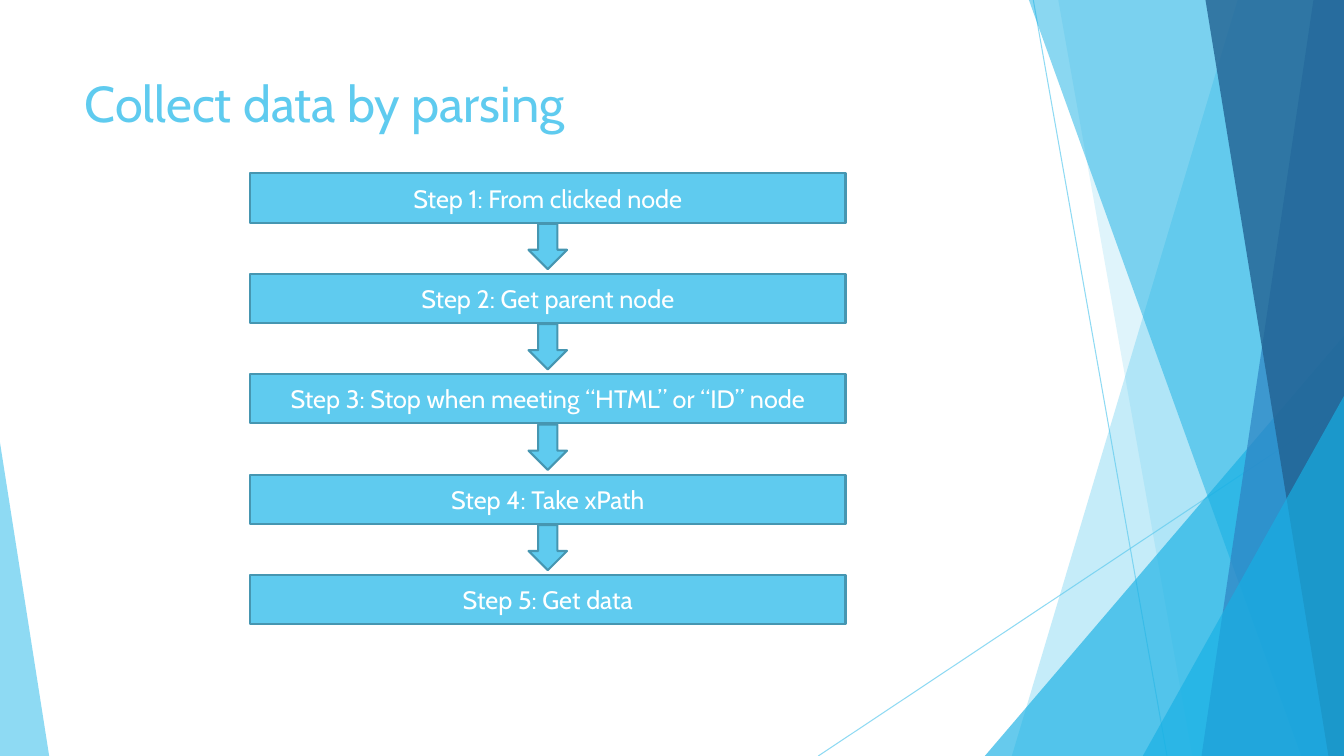
"""Build the slide that lists the steps of collecting data by parsing."""
from dataclasses import dataclass

from lxml import etree
from pptx import Presentation
from pptx.dml.color import RGBColor
from pptx.enum.shapes import MSO_CONNECTOR, MSO_SHAPE
from pptx.enum.text import MSO_ANCHOR, PP_ALIGN
from pptx.oxml.ns import qn
from pptx.shapes.autoshape import Shape
from pptx.shapes.connector import Connector
from pptx.shapes.shapetree import SlideShapes
from pptx.text.text import TextFrame
from pptx.util import Cm, Pt

RECTANGLE = MSO_SHAPE.RECTANGLE
DOWN_ARROW = MSO_SHAPE.DOWN_ARROW
TRIANGLE = MSO_SHAPE.ISOSCELES_TRIANGLE
STRAIGHT = MSO_CONNECTOR.STRAIGHT
LEFT, CENTER = PP_ALIGN.LEFT, PP_ALIGN.CENTER
TOP, MIDDLE = MSO_ANCHOR.TOP, MSO_ANCHOR.MIDDLE

FONT = "Cabin"
COLOURS = {
    "sky": "5FCBEF",
    "cyan": "17B0E4",
    "blue": "2E83C3",
    "navy": "226292",
    "outline": "4696B1",
    "white": "FFFFFF",
}
SLIDE_WIDTH, SLIDE_HEIGHT = 33.87, 19.05
STEP_LEFT, STEP_TOP, STEP_WIDTH, STEP_HEIGHT = 6.3, 4.37, 15.01, 1.24
STEP_PITCH = 2.53
ARROW_WIDTH, ARROW_HEIGHT, ARROW_OFFSET = 0.97, 1.14, 1.27


@dataclass
class Ray:
    """A thin line across the slide edge."""
    start: tuple[float, float]
    end: tuple[float, float]


@dataclass
class Band:
    """A slanted band that reaches the right edge."""
    top_x: float
    bottom_x: float
    colour: str
    opacity: int


@dataclass
class Corner:
    """A right triangle that stands on the bottom edge."""
    left: float
    top: float
    width: float
    apex: float
    colour: str
    opacity: int


RAYS = [
    Ray((26.04, 0), (29.41, SLIDE_HEIGHT)),
    Ray((SLIDE_WIDTH, 10.24), (20.62, SLIDE_HEIGHT)),
]
FACETS = [
    Band(31.19, 25.5, "sky", 36),
    Band(26.67, 30.05, "sky", 20),
    Corner(24.82, 8.46, 9.05, 1, "cyan", 66),
    Band(25.93, 32.79, "cyan", 50),
    Band(33.1, 30.28, "blue", 70),
    Band(30.38, 33.48, "navy", 80),
    Corner(28.8, 9.98, 5.07, 1, "cyan", 66),
    Corner(0, 11.15, 1.24, 0, "sky", 70),
]
STEPS = [
    "Step 1: From clicked node",
    "Step 2: Get parent node",
    "Step 3: Stop when meeting “HTML” or “ID” node",
    "Step 4: Take xPath",
    "Step 5: Get data",
]


def rgb(name: str) -> RGBColor:
    """Return the named colour."""
    return RGBColor.from_string(COLOURS[name])


def set_opacity(item: Shape | Connector, percent: int) -> None:
    """Make the item's colour partly transparent."""
    colour = item.element.spPr.find(".//" + qn("a:srgbClr"))
    etree.SubElement(colour, qn("a:alpha")).set("val", str(percent * 1000))


def write(frame: TextFrame, text: str, *, size: float, colour: str,
          align: PP_ALIGN, anchor: MSO_ANCHOR) -> None:
    """Put formatted text into a frame."""
    frame.word_wrap = True
    frame.vertical_anchor = anchor
    paragraph = frame.paragraphs[0]
    paragraph.alignment = align
    run = paragraph.add_run()
    run.text = text
    run.font.name = FONT
    run.font.size = Pt(size)
    run.font.color.rgb = rgb(colour)


def fill_shape(shape: Shape, colour: str) -> None:
    """Give a shape a flat fill without a shadow."""
    shape.shadow.inherit = False
    shape.fill.solid()
    shape.fill.fore_color.rgb = rgb(colour)


def draw_ray(shapes: SlideShapes, ray: Ray) -> None:
    """Draw a thin translucent line."""
    line = shapes.add_connector(STRAIGHT, *map(Cm, ray.start + ray.end))
    line.line.color.rgb = rgb("sky")
    line.line.width = Pt(0.75)
    set_opacity(line, 70)
    etree.SubElement(line.element.spPr, qn("a:effectLst"))


def draw_facet(shapes: SlideShapes, facet: Band | Corner) -> None:
    """Draw a translucent band or corner."""
    if isinstance(facet, Band):
        outline = shapes.build_freeform(Cm(facet.top_x), 0)
        outline.add_line_segments([
            (Cm(SLIDE_WIDTH), 0),
            (Cm(SLIDE_WIDTH), Cm(SLIDE_HEIGHT)),
            (Cm(facet.bottom_x), Cm(SLIDE_HEIGHT)),
        ])
        shape = outline.convert_to_shape()
    else:
        shape = shapes.add_shape(TRIANGLE, Cm(facet.left), Cm(facet.top),
                                 Cm(facet.width), Cm(SLIDE_HEIGHT - facet.top))
        shape.adjustments[0] = facet.apex
    fill_shape(shape, facet.colour)
    set_opacity(shape, facet.opacity)
    shape.line.fill.background()


def draw_block(shapes: SlideShapes, kind: MSO_SHAPE, left: float, top: float,
               width: float, height: float) -> Shape:
    """Draw an outlined shape of the flow."""
    block = shapes.add_shape(kind, Cm(left), Cm(top), Cm(width), Cm(height))
    fill_shape(block, "sky")
    block.line.color.rgb = rgb("outline")
    block.line.width = Pt(1.5)
    return block


def draw_flow(shapes: SlideShapes) -> None:
    """Draw the steps with an arrow between each pair."""
    arrow_left = STEP_LEFT + (STEP_WIDTH - ARROW_WIDTH) / 2
    for index, label in enumerate(STEPS):
        top = STEP_TOP + index * STEP_PITCH
        step = draw_block(shapes, RECTANGLE, STEP_LEFT, top, STEP_WIDTH, STEP_HEIGHT)
        write(step.text_frame, label, size=18, colour="white",
              align=CENTER, anchor=MIDDLE)
        if index < len(STEPS) - 1:
            draw_block(shapes, DOWN_ARROW, arrow_left, top + ARROW_OFFSET,
                       ARROW_WIDTH, ARROW_HEIGHT)


def main() -> None:
    """Build and save the presentation."""
    deck = Presentation()
    deck.slide_width, deck.slide_height = Cm(SLIDE_WIDTH), Cm(SLIDE_HEIGHT)
    slide = deck.slides.add_slide(deck.slide_layouts[5])
    for ray in RAYS:
        draw_ray(slide.shapes, ray)
    for facet in FACETS:
        draw_facet(slide.shapes, facet)
    title = slide.shapes.title
    title.left, title.top, title.width, title.height = map(Cm, (1.88, 1.7, 23.88, 3.66))
    write(title.text_frame, "Collect data by parsing", size=36, colour="sky",
          align=LEFT, anchor=TOP)
    draw_flow(slide.shapes)
    deck.save("out.pptx")


if __name__ == "__main__":
    main()
